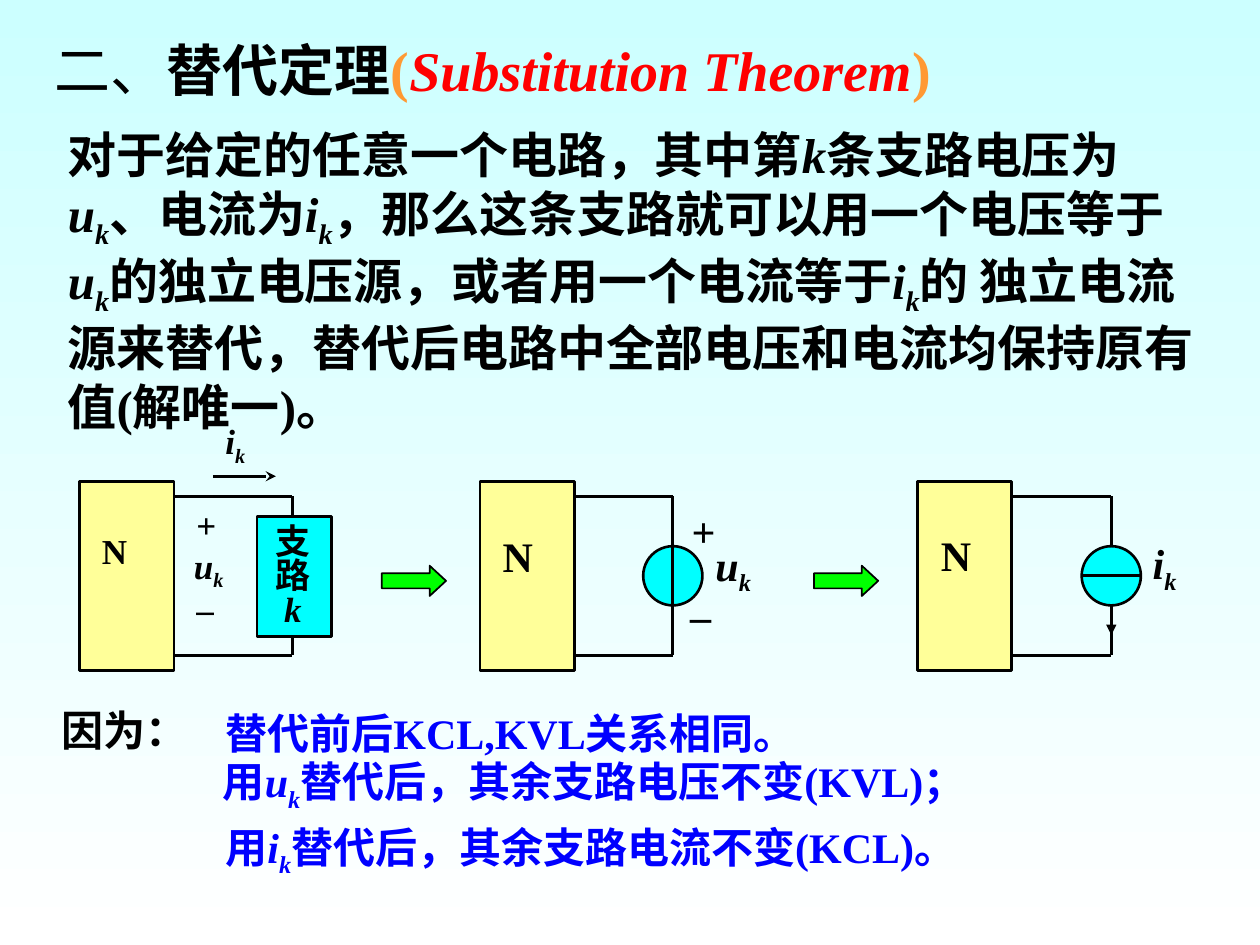
from dataclasses import dataclass
from lxml.etree import SubElement
from pptx import Presentation
from pptx.dml.color import RGBColor
from pptx.enum.shapes import MSO_CONNECTOR, MSO_SHAPE
from pptx.enum.text import MSO_ANCHOR, PP_ALIGN
from pptx.oxml.ns import qn
from pptx.util import Inches, Pt


@dataclass(frozen=True)
class Theme:
    font: str = "Times New Roman"
    ink: str = "000000"
    blue: str = "0000FF"
    red: str = "FF0000"
    gold: str = "FF9933"
    cyan: str = "00FFFF"
    cream: str = "FFFF99"
    green: str = "00FF00"
    sky: str = "CCFFFF"
    white: str = "FFFFFF"
    head: int = 32
    body: int = 28
    note: int = 24
    small: int = 20
    wire: float = 1.5


T = Theme()

TITLE = [("二、", T.ink, False, False), ("替代定理", T.ink, True, False),
         ("(", T.gold, True, False), ("Substitution Theorem", T.red, True, True),
         (")", T.gold, True, False)]

# In the strings below, ~ opens an italic part and ^ an italic subscript.
BODY = ("对于给定的任意一个电路，其中第|~k|条支路电压为|~u|^k|、电流为|~i|^k|"
        "，那么这条支路就可以用一个电压等于|~u|^k|的独立电压源，或者用一个电流等于|"
        "~i|^k|的 独立电流源来替代，替代后电路中全部电压和电流均保持原有值(解唯一)。")

NOTES = [
    ("因为：", 0.39, 5.54, 1.58, T.ink),
    ("替代前后KCL,KVL关系相同。", 1.69, 5.57, 7.58, T.blue),
    ("用|~u|^k|替代后，其余支路电压不变(KVL)；", 1.67, 5.95, 7.58, T.blue),
    ("用|~i|^k|替代后，其余支路电流不变(KCL)。", 1.69, 6.47, 7.58, T.blue),
]

NETS = [
    dict(left=0.63, span=1.69, size=T.small, part="branch", marks=[
        ("N", 0.08, 4.15, 0.5), ("~i|^k", 1.06, 3.28, 0.58),
        ("+", 0.83, 3.95, 0.4), ("~u|^k", 0.81, 4.27, 0.6),
        ("–", 0.83, 4.61, 0.42)]),
    dict(left=3.81, span=1.53, size=T.note, part="voltage", marks=[
        ("N", 0.08, 4.16, 0.5), ("+", 1.58, 3.96, 0.4),
        ("~u|^k", 1.77, 4.23, 0.6), ("_", 1.57, 4.52, 0.4)]),
    dict(left=7.28, span=1.54, size=T.note, part="current", marks=[
        ("N", 0.09, 4.15, 0.5), ("~i|^k", 1.77, 4.22, 0.6)]),
]
BRANCH = ["支", "路", "~k"]
BOX_W, BOX_H, BOX_Y = 0.75, 1.5, 3.82
TOP, BASE = 3.94, 5.2
MID = (TOP + BASE) / 2
ROUND = 0.47
ARROWS = [3.03, 6.46]

deck = Presentation()
deck.slide_width, deck.slide_height = Inches(10), Inches(7.5)
slide = deck.slides.add_slide(deck.slide_layouts[5])
shapes = slide.shapes


def rgb(code):
    return RGBColor.from_string(code)


def style(run, size, color, bold=True, slant=False):
    font = run.font
    font.name, font.size, font.bold, font.italic = T.font, Pt(size), bold, slant
    font.color.rgb = rgb(color)


def write(para, text, size, color):
    for bit in text.split("|"):
        run = para.add_run()
        run.text = bit.lstrip("~^")
        style(run, size, color, slant=bit[0] in "~^")
        if bit[0] == "^":
            run.font._element.set("baseline", "-25000")


def label(lines, x, y, w, h, size, color=T.ink):
    box = shapes.add_textbox(Inches(x), Inches(y), Inches(w), Inches(h))
    frame = box.text_frame
    frame.word_wrap = True
    for n, line in enumerate(lines):
        para = frame.add_paragraph() if n else frame.paragraphs[0]
        write(para, line, size, color)
    return frame


def block(kind, x, y, w, h, color, width=T.wire):
    item = shapes.add_shape(kind, Inches(x), Inches(y), Inches(w), Inches(h))
    item.shadow.inherit = False
    item.fill.solid()
    item.fill.fore_color.rgb = rgb(color)
    item.line.color.rgb = rgb(T.ink)
    item.line.width = Pt(width)
    return item


def wire(x1, y1, x2, y2, tip=None):
    item = shapes.add_connector(MSO_CONNECTOR.STRAIGHT, Inches(x1), Inches(y1),
                                Inches(x2), Inches(y2))
    item.line.color.rgb = rgb(T.ink)
    item.line.width = Pt(T.wire)
    if tip:
        SubElement(item.line._get_or_add_ln(), qn("a:tailEnd"), type=tip)
    SubElement(item._element.spPr, qn("a:effectLst"))


def source(x):
    block(MSO_SHAPE.OVAL, x - ROUND / 2, MID - ROUND / 2, ROUND, ROUND, T.cyan)


def circuit(left, span, size, part, marks):
    x = left + span
    for y in (TOP, BASE):
        wire(left + BOX_W, y, x, y)
    if part == "voltage":
        source(x)
    wire(x, TOP, x, BASE)
    block(MSO_SHAPE.RECTANGLE, left, BOX_Y, BOX_W, BOX_H, T.cream)
    if part == "branch":
        block(MSO_SHAPE.RECTANGLE, x - 0.28, 4.1, 0.59, 0.95, T.cyan)
        frame = label(BRANCH, x - 0.24, 4.14, 0.49, 0.95, size)
        for para in frame.paragraphs:
            para.line_spacing, para.alignment = 0.8, PP_ALIGN.CENTER
        wire(1.69, 3.78, 2.19, 3.78, "stealth")
    if part == "current":
        source(x)
        wire(x - ROUND / 2, MID, x + ROUND / 2, MID)
        wire(x, MID + ROUND / 2, x, 5.04, "triangle")
    for text, dx, y, w in marks:
        label([text], left + dx, y, w, 0.5, size)


back = slide.background.fill
back.gradient()
back.gradient_angle = 270
for stop, code, spot in zip(back.gradient_stops, (T.sky, T.white), (0, 1)):
    stop.color.rgb = rgb(code)
    stop.position = spot

title = shapes.title
title.left, title.top = Inches(0.33), Inches(0.23)
title.width, title.height = Inches(9.23), Inches(0.64)
title.text_frame.vertical_anchor = MSO_ANCHOR.TOP
head = title.text_frame.paragraphs[0]
head.alignment = PP_ALIGN.LEFT
for text, color, bold, slant in TITLE:
    run = head.add_run()
    run.text = text
    style(run, T.head, color, bold, slant)

label([BODY], 0.44, 0.94, 9.2, 2.57, T.body)
for net in NETS:
    circuit(**net)
for x in ARROWS:
    arrow = block(MSO_SHAPE.RIGHT_ARROW, x, 4.49, 0.51, 0.24, T.green, 1)
    arrow.adjustments[1] = 0.54
for text, x, y, w, color in NOTES:
    label([text], x, y, w, 0.5, T.note, color)

deck.save("out.pptx")
